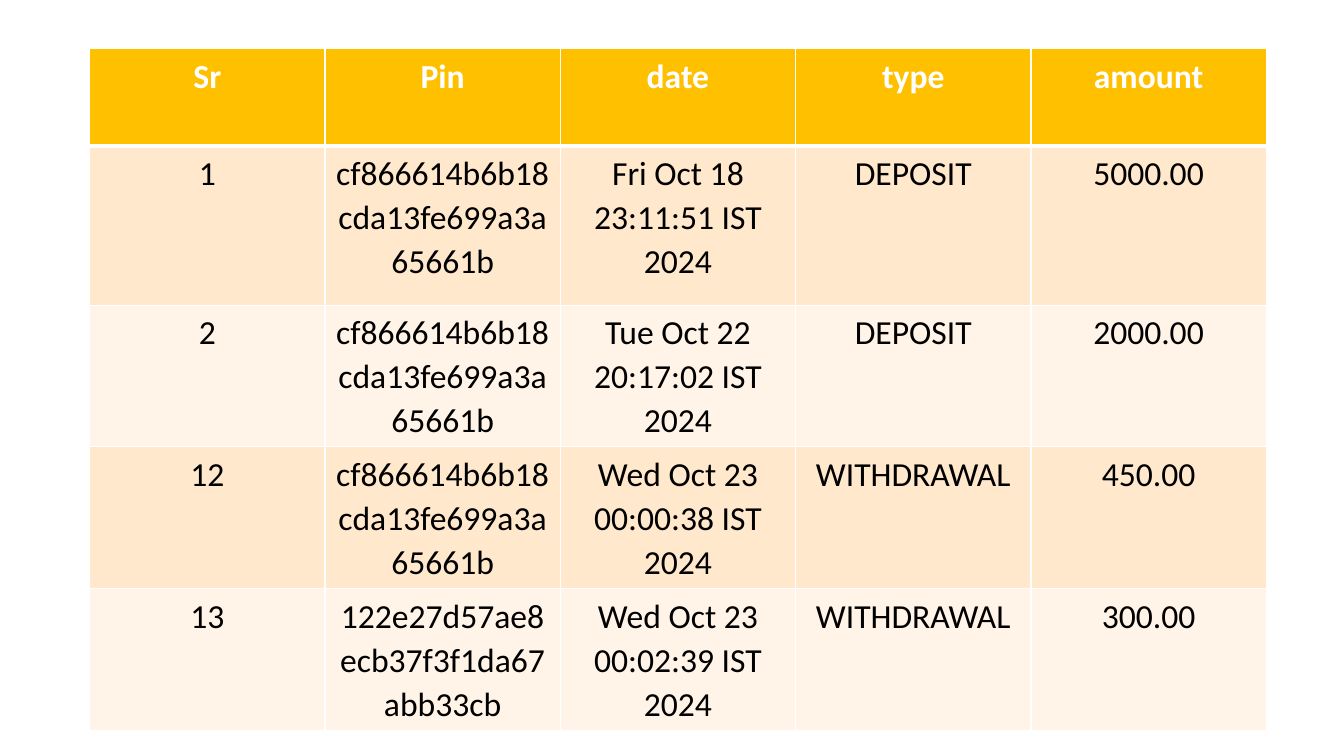
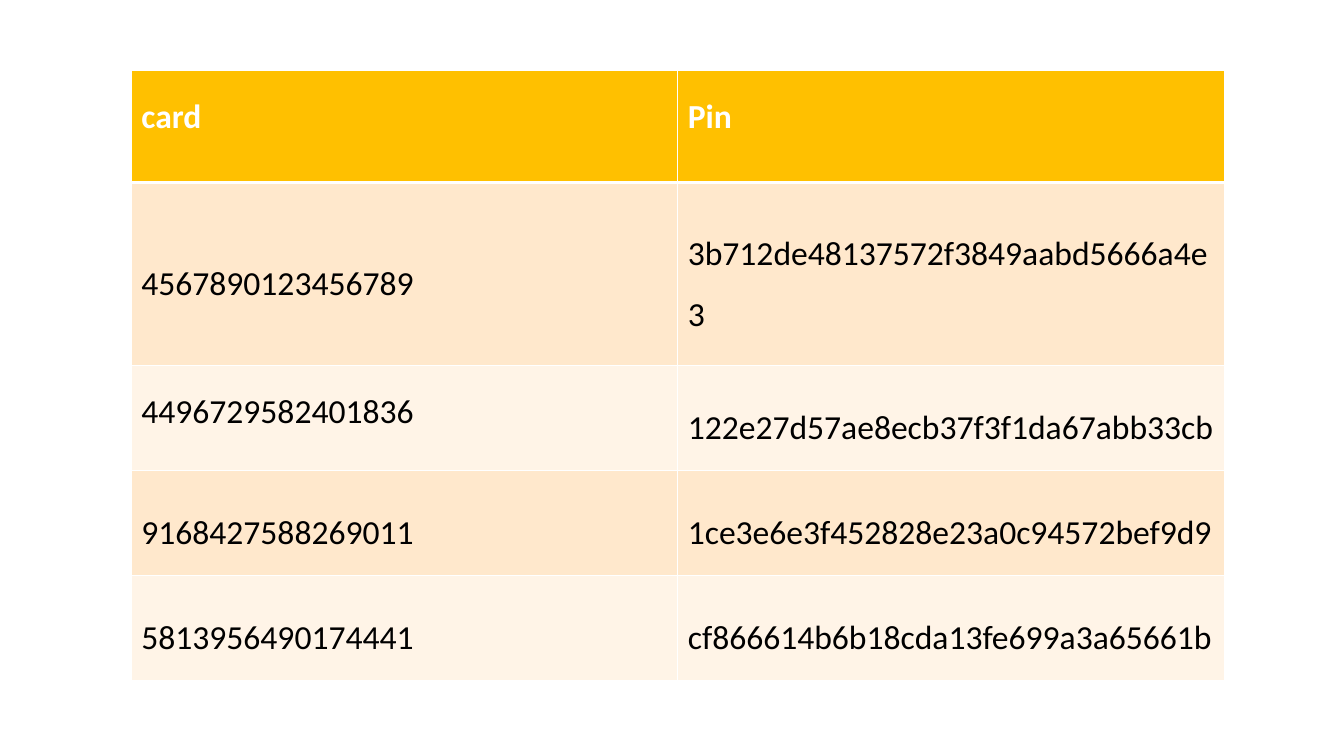
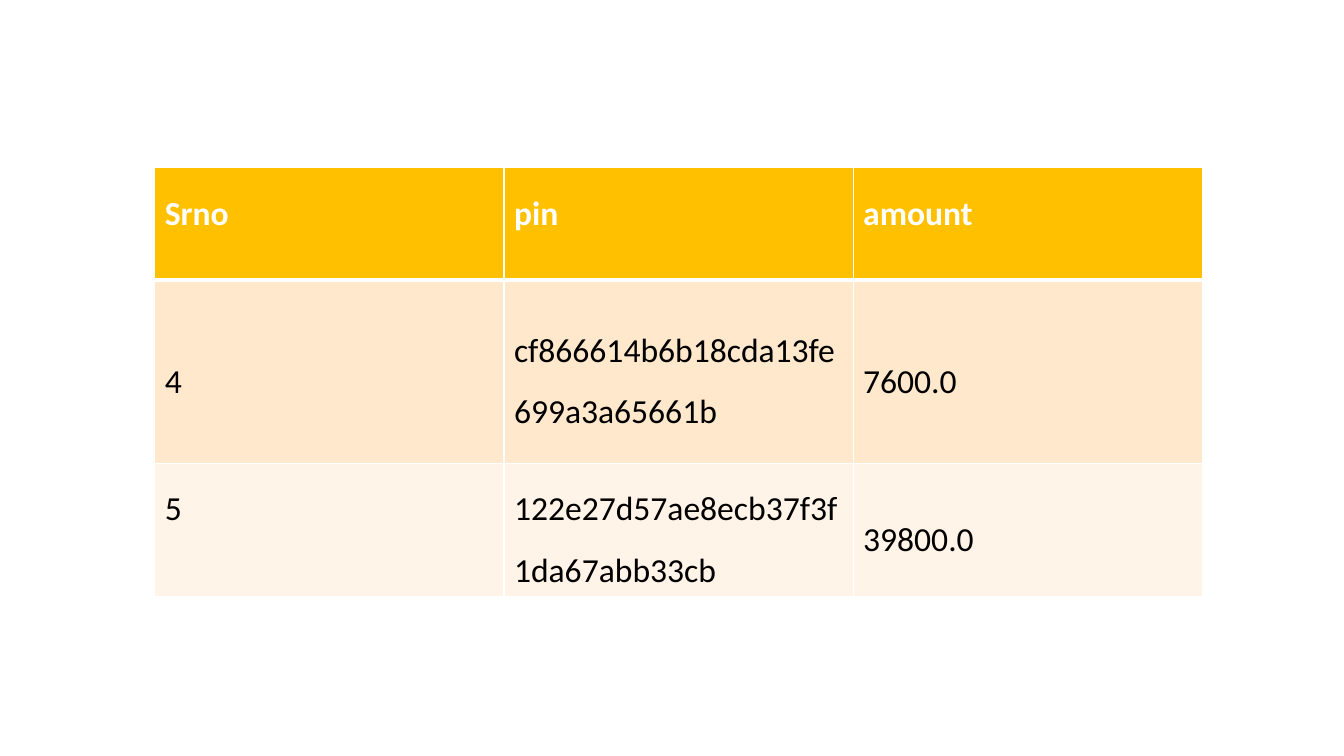
from dataclasses import dataclass

from lxml.etree import SubElement
from pptx import Presentation
from pptx.dml.color import RGBColor
from pptx.enum.text import MSO_ANCHOR, PP_ALIGN
from pptx.oxml.ns import qn
from pptx.slide import Slide
from pptx.table import _Cell
from pptx.util import Cm, Pt

WHITE = RGBColor(0xFF, 0xFF, 0xFF)
BLACK = RGBColor(0x00, 0x00, 0x00)
AMBER = RGBColor(0xFF, 0xC0, 0x00)
PEACH = RGBColor(0xFF, 0xE8, 0xCC)
CREAM = RGBColor(0xFF, 0xF4, 0xE7)

BASE_FONT = {"name": "Calibri", "size": Pt(24)}
HEADER_FONT = {**BASE_FONT, "bold": True}
BODY_FONT = {**BASE_FONT, "bold": False}
CENTRED = {"alignment": PP_ALIGN.CENTER, "line_spacing": 1.07}
SPACED = {"alignment": PP_ALIGN.LEFT, "line_spacing": 1.5, "space_after": Pt(8)}
HEADER_BORDERS = {"a:lnL": Pt(1), "a:lnR": Pt(1), "a:lnT": Pt(1), "a:lnB": Pt(3)}

FIRST_PIN = "cf866614b6b18cda13fe699a3a65661b"
SECOND_PIN = "122e27d57ae8ecb37f3f1da67abb33cb"


@dataclass(frozen=True)
class TableSlide:
    left: float
    top: float
    column_width: float
    row_heights: tuple[float, ...]
    paragraph_format: dict
    body_anchor: MSO_ANCHOR
    rows: tuple[tuple[str, ...], ...]
    top_cells: tuple[tuple[int, int], ...] = ()


TABLE_SLIDES = (
    TableSlide(
        2.26, 1.22, 5.93, (2.46, 4.01, 2.21, 2.21, 2.21), CENTRED, MSO_ANCHOR.TOP,
        (
            ("Sr", "Pin", "date", "type", "amount"),
            ("1", FIRST_PIN, "Fri Oct 18 23:11:51 IST 2024", "DEPOSIT", "5000.00"),
            ("2", FIRST_PIN, "Tue Oct 22 20:17:02 IST 2024", "DEPOSIT", "2000.00"),
            ("12", FIRST_PIN, "Wed Oct 23 00:00:38 IST 2024", "WITHDRAWAL", "450.00"),
            ("13", SECOND_PIN, "Wed Oct 23 00:02:39 IST 2024", "WITHDRAWAL", "300.00"),
        ),
    ),
    TableSlide(
        3.31, 1.78, 13.77, (2.82, 4.62, 2.64, 2.64, 2.64), SPACED, MSO_ANCHOR.MIDDLE,
        (
            ("card", "Pin"),
            ("4567890123456789", "3b712de48137572f3849aabd5666a4e3"),
            ("4496729582401836", SECOND_PIN),
            ("9168427588269011", "1ce3e6e3f452828e23a0c94572bef9d9"),
            ("5813956490174441", FIRST_PIN),
        ),
        ((2, 0),),
    ),
    TableSlide(
        3.9, 4.23, 8.8, (2.82, 4.62, 2.64), SPACED, MSO_ANCHOR.MIDDLE,
        (
            ("Srno", "pin", "amount"),
            ("4", FIRST_PIN, "7600.0"),
            ("5", SECOND_PIN, "39800.0"),
        ),
        ((2, 0),),
    ),
)


def apply_format(target: object, values: dict) -> None:
    for name, value in values.items():
        setattr(target, name, value)


def add_header_borders(cell: _Cell) -> None:
    properties = cell._tc.get_or_add_tcPr()
    for tag, width in HEADER_BORDERS.items():
        border = SubElement(properties, qn(tag), w=str(width))
        fill = SubElement(border, qn("a:solidFill"))
        SubElement(fill, qn("a:srgbClr"), val=str(WHITE))


def fill_cell(cell: _Cell, text: str, row: int, column: int, content: TableSlide) -> None:
    is_header = row == 0
    if is_header:
        add_header_borders(cell)
    cell.fill.solid()
    cell.fill.fore_color.rgb = AMBER if is_header else PEACH if row % 2 else CREAM
    at_top = is_header or (row, column) in content.top_cells
    cell.vertical_anchor = MSO_ANCHOR.TOP if at_top else content.body_anchor
    paragraph = cell.text_frame.paragraphs[0]
    apply_format(paragraph, content.paragraph_format)
    run = paragraph.add_run()
    run.text = text
    apply_format(run.font, HEADER_FONT if is_header else BODY_FONT)
    run.font.color.rgb = WHITE if is_header else BLACK


def draw_table(slide: Slide, content: TableSlide) -> None:
    column_count = len(content.rows[0])
    table = slide.shapes.add_table(
        len(content.rows), column_count, Cm(content.left), Cm(content.top),
        Cm(content.column_width * column_count), Cm(sum(content.row_heights)),
    ).table
    for column in table.columns:
        column.width = Cm(content.column_width)
    for row_index, (height, texts) in enumerate(zip(content.row_heights, content.rows)):
        table.rows[row_index].height = Cm(height)
        for column_index, text in enumerate(texts):
            cell = table.cell(row_index, column_index)
            fill_cell(cell, text, row_index, column_index, content)


def main() -> None:
    presentation = Presentation()
    presentation.slide_width = Cm(33.87)
    presentation.slide_height = Cm(19.05)
    blank_layout = presentation.slide_layouts[6]
    for content in TABLE_SLIDES:
        draw_table(presentation.slides.add_slide(blank_layout), content)
    presentation.save("out.pptx")


if __name__ == "__main__":
    main()
